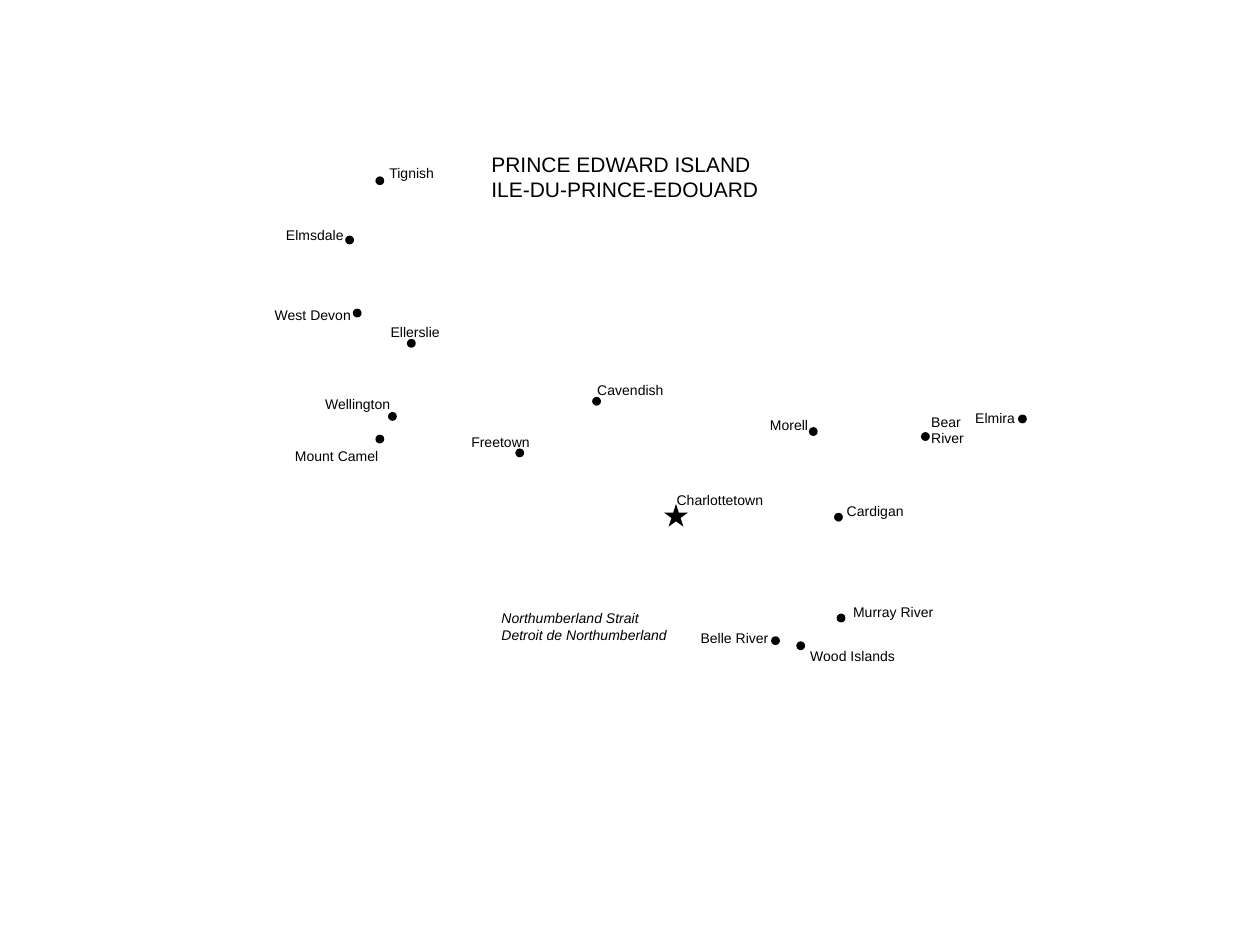
import pptx
import pptx.dml.color
import pptx.enum.shapes
import pptx.enum.text
import pptx.util

COLUMNS, ROWS = 1000, 750
CELL = pptx.util.Inches(10) // COLUMNS
INK = "000000"
DOT = 7

TOWNS = [
    ("Cavendish", (470, 315), (474, 303, 54)),
    ("Mount Camel", (298, 345), (234, 355, 68)),
    ("Freetown", (409, 356), (374, 344, 48)),
    ("Elmira", (808, 329), (774, 325, 33)),
    ("Bear\nRiver", (731, 343), (739, 328, 28)),
    ("Murray River", (664, 487), (677, 479, 65)),
    ("Belle River", (612, 505), (556, 500, 55)),
    ("Wood Islands", (632, 509), (643, 514, 69)),
    ("Cardigan", (662, 407), (672, 399, 47)),
    ("Tignish", (298, 140), (309, 131, 37)),
    ("Elmsdale", (274, 187), (227, 180, 47)),
    ("West Devon", (280, 245), (218, 243, 62)),
    ("Ellerslie", (323, 269), (310, 257, 41)),
    ("Wellington", (308, 327), (258, 314, 53)),
    ("Morell", (642, 339), (611, 331, 32)),
]


def colour(code):
    return pptx.dml.color.RGBColor.from_string(code)


def cells(*counts):
    return [count * CELL for count in counts]


def add_text(slide, text, column, row, width, size=8, italic=False, pitch=13):
    for number, line in enumerate(text.split("\n")):
        label = slide.shapes.add_textbox(
            *cells(column, row + number * pitch, width, round(size * 5 / 3))
        )
        frame = label.text_frame
        frame.margin_left = frame.margin_right = 0
        frame.margin_top = frame.margin_bottom = 0
        frame.word_wrap = False
        frame.auto_size = pptx.enum.text.MSO_AUTO_SIZE.SHAPE_TO_FIT_TEXT
        run = frame.paragraphs[0].add_run()
        run.text = line
        run.font.name = "Arial"
        run.font.size = pptx.util.Pt(size)
        run.font.italic = italic
        run.font.color.rgb = colour(INK)


def add_marker(slide, kind, column, row, width, height):
    marker = slide.shapes.add_shape(kind, *cells(column, row, width, height))
    marker.shadow.inherit = False
    marker.fill.solid()
    marker.fill.fore_color.rgb = colour(INK)
    marker.line.fill.background()


def add_town(slide, town, dot, label):
    add_marker(slide, pptx.enum.shapes.MSO_SHAPE.OVAL, *dot, DOT, DOT)
    add_text(slide, town, *label)


def add_capital(slide):
    add_marker(slide, pptx.enum.shapes.MSO_SHAPE.STAR_5_POINT, 527, 400, 19, 18)
    add_text(slide, "Charlottetown", 537, 390, 70)


def main():
    deck = pptx.Presentation()
    deck.slide_width, deck.slide_height = cells(COLUMNS, ROWS)
    island = deck.slides.add_slide(deck.slide_layouts[6])
    for town in TOWNS:
        add_town(island, *town)
    add_capital(island)
    add_text(island, "PRINCE EDWARD ISLAND\nILE-DU-PRINCE-EDOUARD",
             390, 120, 214, size=12, pitch=20)
    add_text(island, "Northumberland Strait\nDetroit de Northumberland",
             398, 484, 133, italic=True)
    deck.save("out.pptx")


if __name__ == "__main__":
    main()
